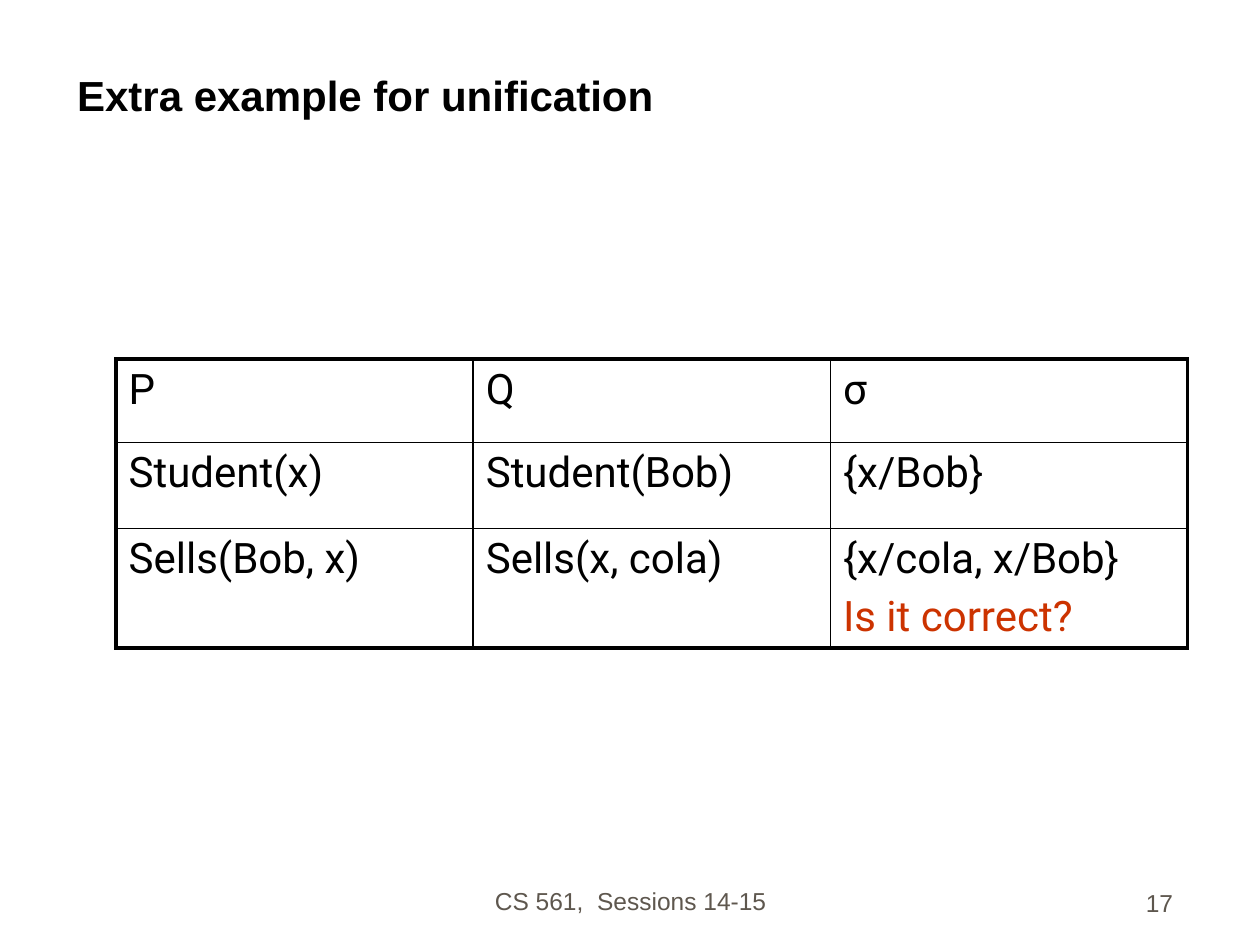
from dataclasses import dataclass

from lxml.etree import SubElement
from pptx import Presentation
from pptx.dml.color import RGBColor
from pptx.enum.text import MSO_ANCHOR, MSO_AUTO_SIZE, PP_ALIGN
from pptx.oxml.ns import qn
from pptx.util import Cm, Pt


@dataclass(frozen=True)
class Theme:
    ink: str = "000000"
    muted: str = "5E574E"
    accent: str = "CC3300"
    heading_font: str = "Arial"
    table_font: str = "Roboto"
    title_size: float = 24
    table_size: float = 24
    footer_size: float = 14
    paragraph_gap: float = 4.8
    outer_line: float = 2.25
    inner_line: float = 1


THEME = Theme()
ROWS = [
    [["P"], ["Q"], ["σ"]],
    [["Student(x)"], ["Student(Bob)"], ["{x/Bob}"]],
    [["Sells(Bob, x)"], ["Sells(x, cola)"], ["{x/cola, x/Bob}", "Is it correct?"]],
]
ROW_HEIGHTS = [1.68, 1.73, 2.41]


def add_run(p, text, font, size, color, bold=False):
    r = p.add_run()
    r.text = text
    r.font.name = font
    r.font.size = Pt(size)
    r.font.bold = bold
    r.font.color.rgb = RGBColor.from_string(color)


def place_title(s, text, left, top, width, height):
    sp = s.shapes.title
    sp.left, sp.top, sp.width, sp.height = map(Cm, (left, top, width, height))
    tf = sp.text_frame
    tf.auto_size = MSO_AUTO_SIZE.NONE
    tf.vertical_anchor = MSO_ANCHOR.BOTTOM
    p = tf.paragraphs[0]
    p.alignment = PP_ALIGN.LEFT
    add_run(p, text, THEME.heading_font, THEME.title_size, THEME.ink, True)


def set_border(cell, side, width):
    ln = SubElement(cell._tc.get_or_add_tcPr(), qn(f"a:ln{side}"), w=str(Pt(width)))
    fill = SubElement(ln, qn("a:solidFill"))
    SubElement(fill, qn("a:srgbClr"), val=THEME.ink)


def fill_cell(cell, lines, outer_sides):
    for side in "LRTB":
        set_border(cell, side, THEME.outer_line if side in outer_sides else THEME.inner_line)
    cell.fill.background()
    tf = cell.text_frame
    for i, line in enumerate(lines):
        p = tf.add_paragraph() if i else tf.paragraphs[0]
        if i:
            p.space_before = Pt(THEME.paragraph_gap)
        add_run(p, line, THEME.table_font, THEME.table_size, THEME.accent if i else THEME.ink)


def place_table(s, rows, heights, left, top, width):
    n_rows, n_cols = len(rows), len(rows[0])
    table = s.shapes.add_table(
        n_rows, n_cols, Cm(left), Cm(top), Cm(width), Cm(sum(heights))
    ).table
    table.first_row = table.horz_banding = False
    for col in table.columns:
        col.width = Cm(width / n_cols)
    for i, (row, height) in enumerate(zip(rows, heights)):
        table.rows[i].height = Cm(height)
        for j, lines in enumerate(row):
            edges = {"L": j == 0, "R": j == n_cols - 1, "T": i == 0, "B": i == n_rows - 1}
            fill_cell(table.cell(i, j), lines, [side for side in edges if edges[side]])


def place_footer(s, text, align, left, top, width, height):
    tf = s.shapes.add_textbox(Cm(left), Cm(top), Cm(width), Cm(height)).text_frame
    tf.word_wrap = True
    tf.vertical_anchor = MSO_ANCHOR.BOTTOM
    p = tf.paragraphs[0]
    p.alignment = align
    add_run(p, text, THEME.heading_font, THEME.footer_size, THEME.muted)


def main():
    prs = Presentation()
    prs.slide_width, prs.slide_height = Cm(25.4), Cm(19.05)
    s = prs.slides.add_slide(prs.slide_layouts[5])
    place_title(s, "Extra example for unification", 1.3, 0.64, 22.66, 1.9)
    place_table(s, ROWS, ROW_HEIGHTS, 2.34, 7.24, 21.6)
    place_footer(s, "CS 561,  Sessions 14-15", PP_ALIGN.CENTER, 8.69, 17.3, 8.05, 1.27)
    place_footer(s, "17", PP_ALIGN.RIGHT, 18.62, 17.35, 5.28, 1.27)
    prs.save("out.pptx")


if __name__ == "__main__":
    main()
